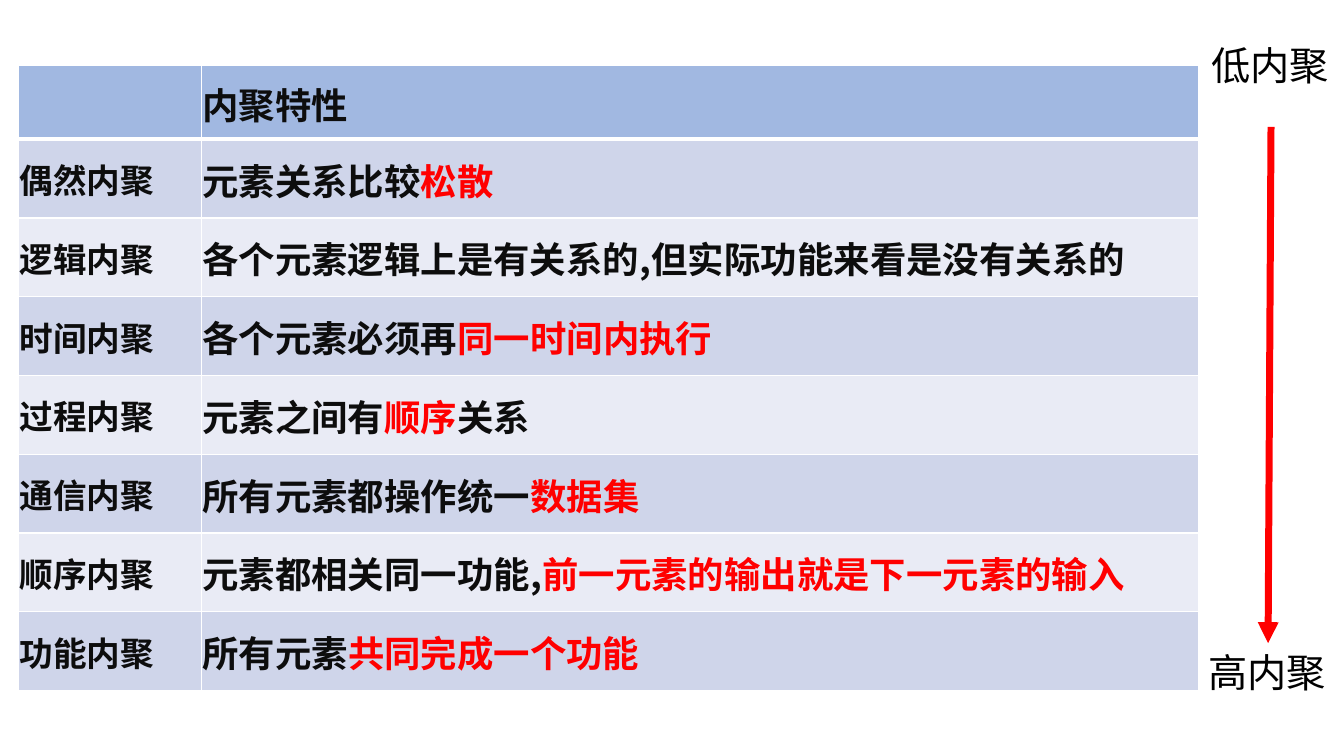
from lxml.etree import SubElement as Sub
from pptx import Presentation
from pptx.dml.color import RGBColor as RGB
from pptx.enum.shapes import MSO_CONNECTOR as Link
from pptx.enum.text import MSO_ANCHOR as Anchor, MSO_AUTO_SIZE as Fit
from pptx.oxml import parse_xml
from pptx.oxml.ns import nsdecls, qn
from pptx.util import Pt

INK = RGB(0x0D, 0x0D, 0x0D)
RED = RGB(0xFF, 0x00, 0x00)
BLACK = RGB(0x00, 0x00, 0x00)
HEAD = RGB(0x44, 0x72, 0xC4)
BANDS = [RGB(0xE9, 0xEB, 0xF5), RGB(0xCF, 0xD5, 0xEA)]
CJK = "Noto Sans CJK SC"

# Each row: kind of cohesion, then its trait as (text, colour) runs
ROWS = [
    ("", [("内聚特性", INK)]),
    ("偶然内聚", [("元素关系比较", INK), ("松散", RED)]),
    ("逻辑内聚", [("各个元素逻辑上是有关系的,但实际功能来看是没有关系的".replace(",", ","), INK)]),
    ("时间内聚", [("各个元素必须再", INK), ("同一时间内执行", RED)]),
    ("过程内聚", [("元素之间有", INK), ("顺序", RED), ("关系", INK)]),
    ("通信内聚", [("所有元素都操作统一", INK), ("数据集", RED)]),
    ("顺序内聚", [("元素都相关同一功能,", INK),
              ("前一元素的输出就是下一元素的输入", RED)]),
    ("功能内聚", [("所有元素", INK), ("共同完成一个功能", RED)]),
]
LABELS = [("低内聚", 858.25, 26), ("高内聚", 856.1, 459.4)]
LEFT, TOP = 13.25, 47
WIDTHS = [130.5, 712.5]
HEAD_H, ROW_H = 52.5, 56.25
LABEL_W, LABEL_H = 99.4, 41


def add_run(para, text, size, color, face, bold=False):
    """Add one styled run to a paragraph."""
    run = para.add_run()
    run.text = text
    font = run.font
    font.size, font.bold, font.name = Pt(size), bold, face
    font.color.rgb = color
    Sub(run._r.get_or_add_rPr(), qn("a:ea"), typeface=CJK)


def set_edges(cell, top, bottom):
    """Draw white borders, with the given top and bottom weights."""
    sides = [("L", 1), ("R", 1), ("T", top), ("B", bottom)]
    props = cell._tc.get_or_add_tcPr()
    for spot, (side, weight) in enumerate(sides):
        props.insert(spot, parse_xml(
            f'<a:ln{side} {nsdecls("a")} w="{Pt(weight)}"><a:solidFill>'
            f'<a:srgbClr val="FFFFFF"/></a:solidFill></a:ln{side}>'))


def fill_cell(cell, row, runs, size):
    """Set fill, borders, margins and text of one cell."""
    cell.fill.solid()
    cell.fill.fore_color.rgb = BANDS[row % 2] if row else HEAD
    if not row:
        tint = cell._tc.tcPr.find(".//" + qn("a:srgbClr"))
        Sub(tint, qn("a:alpha"), val="50000")
    set_edges(cell, 3 if row == 1 else 1, 1 if row else 3)
    cell.vertical_anchor = Anchor.MIDDLE
    cell.margin_left = cell.margin_right = cell.margin_top = Pt(0.75)
    cell.margin_bottom = Pt(0)
    for text, color in runs:
        if text:
            add_run(cell.text_frame.paragraphs[0], text, size, color, CJK, True)


def add_grid(slide):
    """Add the table of cohesion kinds."""
    high = HEAD_H + ROW_H * (len(ROWS) - 1)
    grid = slide.shapes.add_table(len(ROWS), 2, Pt(LEFT), Pt(TOP),
                                  Pt(sum(WIDTHS)), Pt(high)).table
    for col, width in zip(grid.columns, WIDTHS):
        col.width = Pt(width)
    for row, (kind, trait) in enumerate(ROWS):
        grid.rows[row].height = Pt(ROW_H if row else HEAD_H)
        fill_cell(grid.cell(row, 0), row, [(kind, INK)], 24)
        fill_cell(grid.cell(row, 1), row, trait, 26)


def add_arrow(slide):
    """Add the red arrow from low to high cohesion."""
    arrow = slide.shapes.add_connector(Link.STRAIGHT, Pt(907.9), Pt(90.7),
                                       Pt(905.8), Pt(459.4))
    arrow.line.color.rgb = RED
    arrow.line.width = Pt(5)
    Sub(arrow.line._get_or_add_ln(), qn("a:tailEnd"), type="triangle")
    Sub(arrow._element.spPr, qn("a:effectLst"))


def add_label(slide, text, left, top):
    """Add a label at one end of the arrow."""
    box = slide.shapes.add_textbox(Pt(left), Pt(top), Pt(LABEL_W), Pt(LABEL_H))
    frame = box.text_frame
    frame.word_wrap = False
    frame.auto_size = Fit.SHAPE_TO_FIT_TEXT
    add_run(frame.paragraphs[0], text, 28, BLACK, "Calibri")


deck = Presentation()
deck.slide_width, deck.slide_height = Pt(960), Pt(540)
slide = deck.slides.add_slide(deck.slide_layouts[6])
add_grid(slide)
add_arrow(slide)
for label in LABELS:
    add_label(slide, *label)
deck.save("out.pptx")
